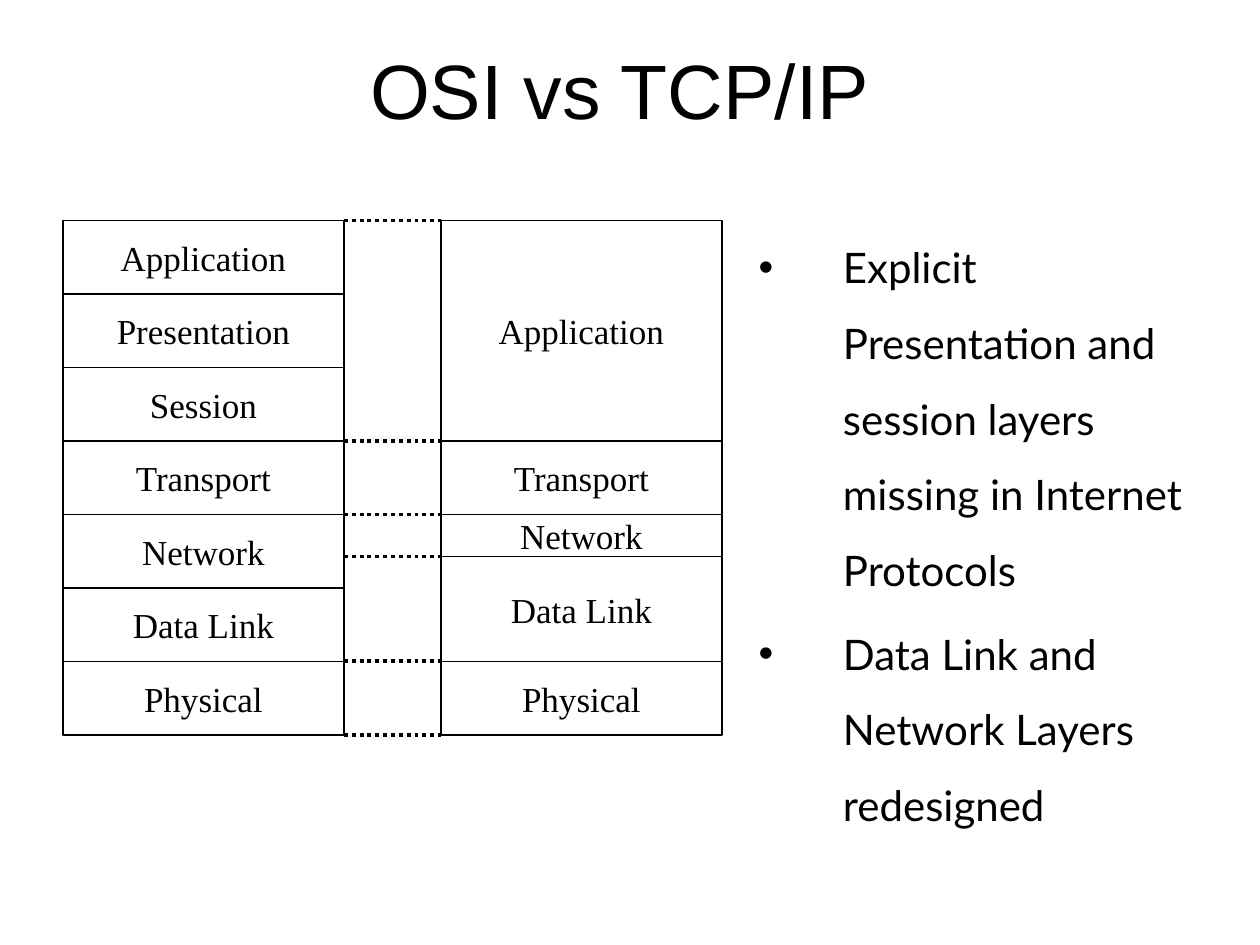
"""Build a slide comparing the OSI and TCP/IP layer stacks."""
from dataclasses import dataclass
from itertools import accumulate

from lxml.etree import SubElement
from pptx import Presentation
from pptx.dml.color import RGBColor
from pptx.enum.dml import MSO_LINE_DASH_STYLE as Dash
from pptx.enum.shapes import MSO_CONNECTOR as Connector, MSO_SHAPE as Shape
from pptx.enum.text import MSO_ANCHOR as Anchor, MSO_AUTO_SIZE as AutoSize, PP_ALIGN as Align
from pptx.oxml.ns import qn
from pptx.util import Inches, Pt


@dataclass(frozen=True)
class Theme:
    ink: RGBColor = RGBColor(0, 0, 0)
    paper: RGBColor = RGBColor(255, 255, 255)
    title: tuple = ("Arial", 44)
    body: tuple = ("Lato", 24)
    layer: tuple = ("Times New Roman", 20)
    border: float = 1
    dots: float = 2.25


class SlideBuilder:
    def __init__(self, page, theme):
        self.page = page
        self.theme = theme

    def place(self, shape, left, top, width, height):
        shape.left, shape.top = Inches(left), Inches(top)
        shape.width, shape.height = Inches(width), Inches(height)

    def style(self, para, face):
        name, size = face
        for span in para.runs:
            span.font.name = name
            span.font.size = Pt(size)
            span.font.color.rgb = self.theme.ink

    def title(self, text, *bounds):
        box = self.page.shapes.title
        self.place(box, *bounds)
        frame = box.text_frame
        frame.text = text
        frame.auto_size = AutoSize.NONE
        frame.vertical_anchor = Anchor.MIDDLE
        frame.paragraphs[0].alignment = Align.CENTER
        self.style(frame.paragraphs[0], self.theme.title)

    def bullets(self, items, *bounds):
        box = self.page.placeholders[1]
        self.place(box, *bounds)
        frame = box.text_frame
        frame.text = "\n".join(items)
        frame.auto_size = AutoSize.NONE
        for para in frame.paragraphs:
            para.line_spacing = 1.5
            properties = para._p.get_or_add_pPr()
            properties.set("marL", str(Inches(0.67)))
            properties.set("indent", str(-Inches(0.67)))
            SubElement(properties, qn("a:buChar")).set("char", "•")
            self.style(para, self.theme.body)

    def layer(self, text, left, top, width, height):
        box = self.page.shapes.add_shape(
            Shape.RECTANGLE, Inches(left), Inches(top), Inches(width), Inches(height))
        box.shadow.inherit = False
        box.fill.solid()
        box.fill.fore_color.rgb = self.theme.paper
        box.line.color.rgb = self.theme.ink
        box.line.width = Pt(self.theme.border)
        frame = box.text_frame
        frame.text = text
        frame.word_wrap = False
        frame.vertical_anchor = Anchor.MIDDLE
        frame.paragraphs[0].alignment = Align.CENTER
        self.style(frame.paragraphs[0], self.theme.layer)

    def stack(self, layers, left, top, width):
        heights = [units / 12 for _, units in layers]
        edges = list(accumulate(heights, initial=top))
        for (name, _), edge, height in zip(layers, edges, heights):
            self.layer(name, left, edge, width, height)
        return edges

    def dotted_line(self, left, right, top):
        line = self.page.shapes.add_connector(
            Connector.STRAIGHT, Inches(left), Inches(top), Inches(right), Inches(top))
        line.line.color.rgb = self.theme.ink
        line.line.width = Pt(self.theme.dots)
        line.line.dash_style = Dash.ROUND_DOT
        SubElement(line._element.spPr, qn("a:effectLst"))


def main():
    deck = Presentation()
    deck.slide_width, deck.slide_height = Inches(10), Inches(7.5)
    page = deck.slides.add_slide(deck.slide_layouts[1])
    builder = SlideBuilder(page, Theme())

    builder.title("OSI vs TCP/IP ", 0.75, 0.08, 8.5, 1.25)
    builder.bullets([
        "Explicit Presentation and session layers missing in Internet Protocols",
        "Data Link and Network Layers redesigned",
    ], 5.92, 1.67, 3.83, 5.42)

    osi_names = ["Application", "Presentation", "Session", "Transport",
                 "Network", "Data Link", "Physical"]
    osi_layers = [(name, 7) for name in osi_names]
    internet_layers = [("Application", 21), ("Transport", 7), ("Network", 4),
                       ("Data Link", 10), ("Physical", 7)]
    osi_left, internet_left, top, width = 0.5, 3.5, 1.75, 2.23

    builder.stack(osi_layers, osi_left, top, width)
    for edge in builder.stack(internet_layers, internet_left, top, width):
        builder.dotted_line(osi_left + width, internet_left, edge)

    deck.save("out.pptx")


if __name__ == "__main__":
    main()
